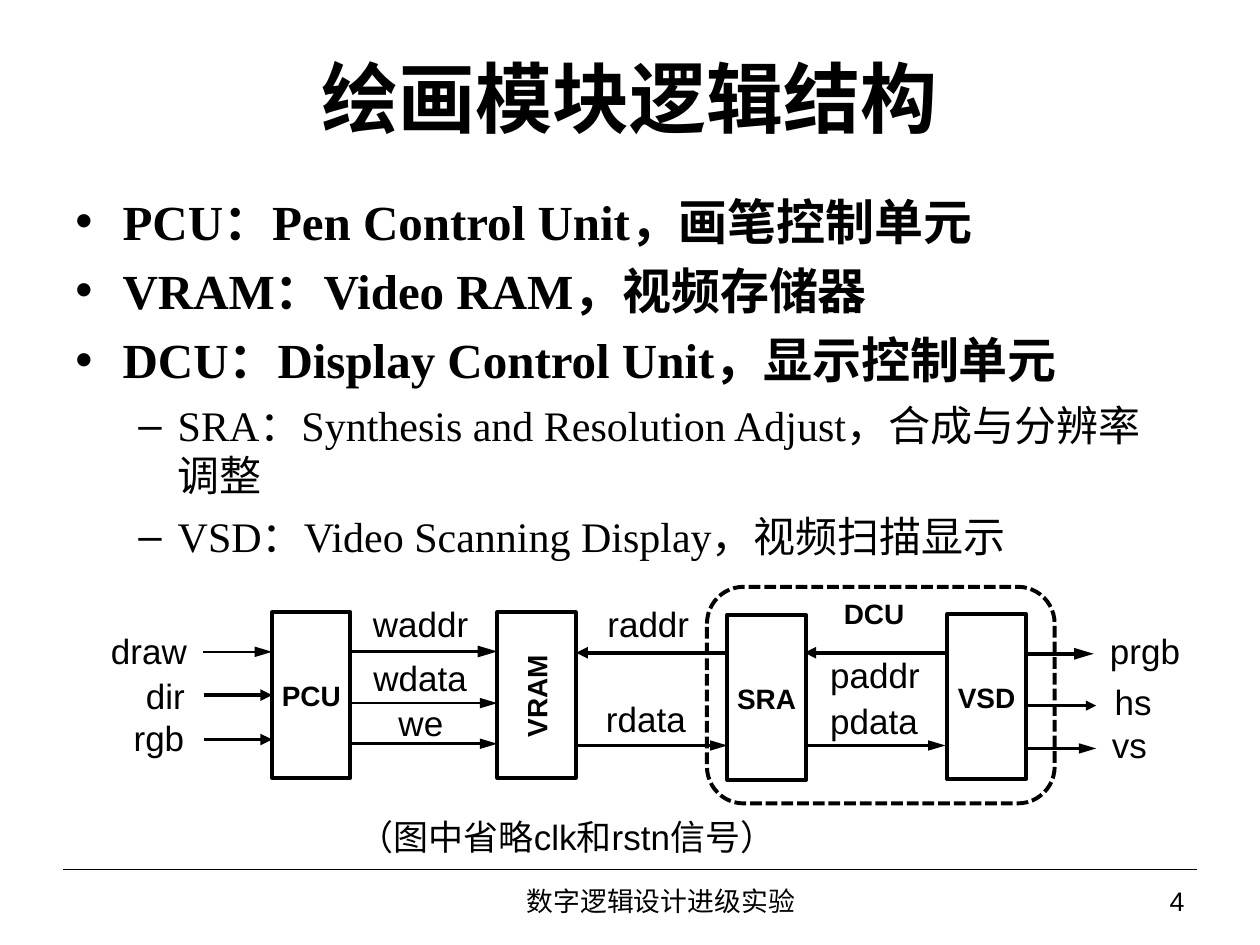
from lxml import etree
from pptx import Presentation
from pptx.dml.color import RGBColor
from pptx.enum.dml import MSO_LINE
from pptx.enum.shapes import MSO_CONNECTOR, MSO_SHAPE
from pptx.enum.text import MSO_ANCHOR, PP_ALIGN
from pptx.oxml.ns import qn
from pptx.util import Pt

CENTER, RIGHT = PP_ALIGN.CENTER, PP_ALIGN.RIGHT
TOP, MIDDLE = MSO_ANCHOR.TOP, MSO_ANCHOR.MIDDLE
STRAIGHT = MSO_CONNECTOR.STRAIGHT
RECTANGLE, ROUNDED = MSO_SHAPE.RECTANGLE, MSO_SHAPE.ROUNDED_RECTANGLE
DASH = MSO_LINE.SQUARE_DOT
LEFT_SIDE = 1

COLORS = {"ink": "000000"}
SERIF, SANS = "Times New Roman", "Arial"
THICK, THIN = 2.25, 1.5

# Bullet levels: character, margin, hanging indent, size, bold
LEVELS = [("•", 27, -27, 28, True), ("–", 58.5, -22.5, 24, False)]
DEFINITIONS = [
    (0, "PCU：Pen Control Unit，画笔控制单元"),
    (0, "VRAM：Video RAM，视频存储器"),
    (0, "DCU：Display Control Unit，显示控制单元"),
    (1, "SRA：Synthesis and Resolution Adjust，合成与分辨率调整"),
    (1, "VSD：Video Scanning Display，视频扫描显示"),
]

# Blocks: name, left, top, width of the label, rotation of the label
BLOCK_WIDTH, BLOCK_HEIGHT = 44.8, 94.6
BLOCKS = [
    ("PCU", 155.5, 349.9, 50, 0),
    ("VRAM", 284.2, 349.9, 68, 270),
    ("SRA", 415.7, 351.2, 50, 0),
    ("VSD", 541.4, 350.8, 50, 0),
]

# Signals: start x, end x, y, line width, length of arrowhead
SIGNALS = [
    (116, 155.5, 372.5, THIN, "lg"),
    (116.6, 155.5, 422.6, THICK, "med"),
    (200.3, 284.2, 372.3, THICK, "lg"),
    (200.3, 284.2, 401.8, THIN, "lg"),
    (200.3, 284.2, 425, THIN, "lg"),
    (415.7, 329.2, 373, THICK, "med"),
    (329.6, 415.7, 426, THIN, "lg"),
    (540.3, 459.7, 373, THICK, "med"),
    (460, 540.3, 426, THIN, "lg"),
    (585.6, 625, 373.6, THICK, "lg"),
    (586.8, 626.4, 403.2, THIN, "med"),
    (586.8, 626.4, 427.7, THIN, "lg"),
]

# Signal names: text, center, top, width
SIGNAL_NAMES = [
    ("draw", 85.1, 359.7, 48), ("dir", 94.5, 385.5, 28), ("rgb", 90.8, 409.7, 34),
    ("waddr", 240.3, 344, 60), ("wdata", 240.1, 375.3, 60), ("we", 240.5, 401, 34),
    ("raddr", 370.5, 344.4, 52), ("rdata", 369.1, 398.4, 52),
    ("paddr", 500, 373.6, 56), ("pdata", 499.5, 399.5, 56),
    ("prgb", 654.3, 359.8, 46), ("hs", 647.5, 388.8, 29), ("vs", 645.4, 413.3, 29),
]


def ink():
    return RGBColor.from_string(COLORS["ink"])


def add_span(para, text, size, font=SANS, bold=False):
    span = para.add_run()
    span.text = text
    span.font.name = font
    span.font.size = Pt(size)
    span.font.bold = bold
    span.font.color.rgb = ink()


def add_box(page, left, top, width, height, anchor=MIDDLE, wrap=True, inset=True):
    box = page.shapes.add_textbox(Pt(left), Pt(top), Pt(width), Pt(height))
    frame = box.text_frame
    frame.word_wrap = wrap
    frame.vertical_anchor = anchor
    if not inset:
        frame.margin_left = frame.margin_right = Pt(0)
        frame.margin_top = frame.margin_bottom = Pt(0)
    return box


def add_signal_name(page, text, center, top, width, height=24):
    box = add_box(page, center - width / 2, top, width, height, wrap=False, inset=False)
    para = box.text_frame.paragraphs[0]
    para.alignment = CENTER
    add_span(para, text, 20)


def add_block_name(page, text, center, top, width, rotation=0):
    box = add_box(page, center - width / 2, top, width, 26.6, anchor=TOP, wrap=False)
    box.rotation = rotation
    para = box.text_frame.paragraphs[0]
    para.alignment = CENTER
    add_span(para, text, 16, bold=True)


def add_footer_text(page, text, left, width, alignment):
    box = add_box(page, left, 502.6, width, 26.6)
    para = box.text_frame.paragraphs[0]
    para.alignment = alignment
    para.line_spacing = 0.9
    add_span(para, text, 15.3)


def add_outline(page, kind, left, top, width, height):
    shape = page.shapes.add_shape(kind, Pt(left), Pt(top), Pt(width), Pt(height))
    shape.shadow.inherit = False
    shape.fill.background()
    shape.line.color.rgb = ink()
    shape.line.width = Pt(THICK)
    return shape


def add_line(page, start, end, y, width, head=None):
    line = page.shapes.add_connector(STRAIGHT, Pt(start), Pt(y), Pt(end), Pt(y))
    line.line.color.rgb = ink()
    line.line.width = Pt(width)
    properties = line._element.spPr
    if head:
        etree.SubElement(properties.find(qn("a:ln")), qn("a:tailEnd"),
                         type="triangle", w="med", len=head)
    etree.SubElement(properties, qn("a:effectLst"))
    return line


def add_definitions(page):
    frame = add_box(page, 36, 105.8, 628.6, 218.9, anchor=TOP).text_frame
    for index, (level, text) in enumerate(DEFINITIONS):
        mark, margin, indent, size, bold = LEVELS[level]
        para = frame.add_paragraph() if index else frame.paragraphs[0]
        para.level = level
        para.space_after = Pt(6)
        properties = para._p.get_or_add_pPr()
        properties.set("marL", str(Pt(margin)))
        properties.set("indent", str(Pt(indent)))
        etree.SubElement(properties, qn("a:buFont"), typeface=SANS)
        etree.SubElement(properties, qn("a:buChar"), char=mark)
        add_span(para, text, size, SERIF, bold)


def add_diagram(page):
    # Blocks with their names
    blocks = {}
    for name, left, top, width, rotation in BLOCKS:
        blocks[name] = add_outline(page, RECTANGLE, left, top, BLOCK_WIDTH, BLOCK_HEIGHT)
        add_block_name(page, name, left + BLOCK_WIDTH / 2, top + 34.5, width, rotation)

    # Signals; "dir" enters the middle of the PCU
    for signal in SIGNALS:
        add_line(page, *signal)
    direction = add_line(page, 116.6, 155.5, 397.2, THICK, "med")
    direction.end_connect(blocks["PCU"], LEFT_SIDE)
    for name in SIGNAL_NAMES:
        add_signal_name(page, *name)

    # Dashed frame around the display control unit
    add_block_name(page, "DCU", 499.5, 337.2, 50)
    unit = add_outline(page, ROUNDED, 404, 335.3, 198.7, 123.8)
    unit.adjustments[0] = 0.17
    unit.line.dash_style = DASH

    # Caption
    add_signal_name(page, "（图中省略clk和rstn信号）", 324, 467.3, 280, 20.9)


def main():
    deck = Presentation()
    deck.slide_width, deck.slide_height = Pt(720), Pt(540)
    page = deck.slides.add_slide(deck.slide_layouts[6])

    # Title
    title = add_box(page, 36, 21.6, 648, 67).text_frame.paragraphs[0]
    title.alignment = CENTER
    add_span(title, "绘画模块逻辑结构", 44, SERIF, True)

    add_definitions(page)
    add_diagram(page)

    # Footer
    add_line(page, 36, 684, 496.8, 0.75)
    add_footer_text(page, "数字逻辑设计进级实验", 203.8, 347.8, CENTER)
    add_footer_text(page, "4", 558, 126, RIGHT)

    deck.save("out.pptx")


if __name__ == "__main__":
    main()
